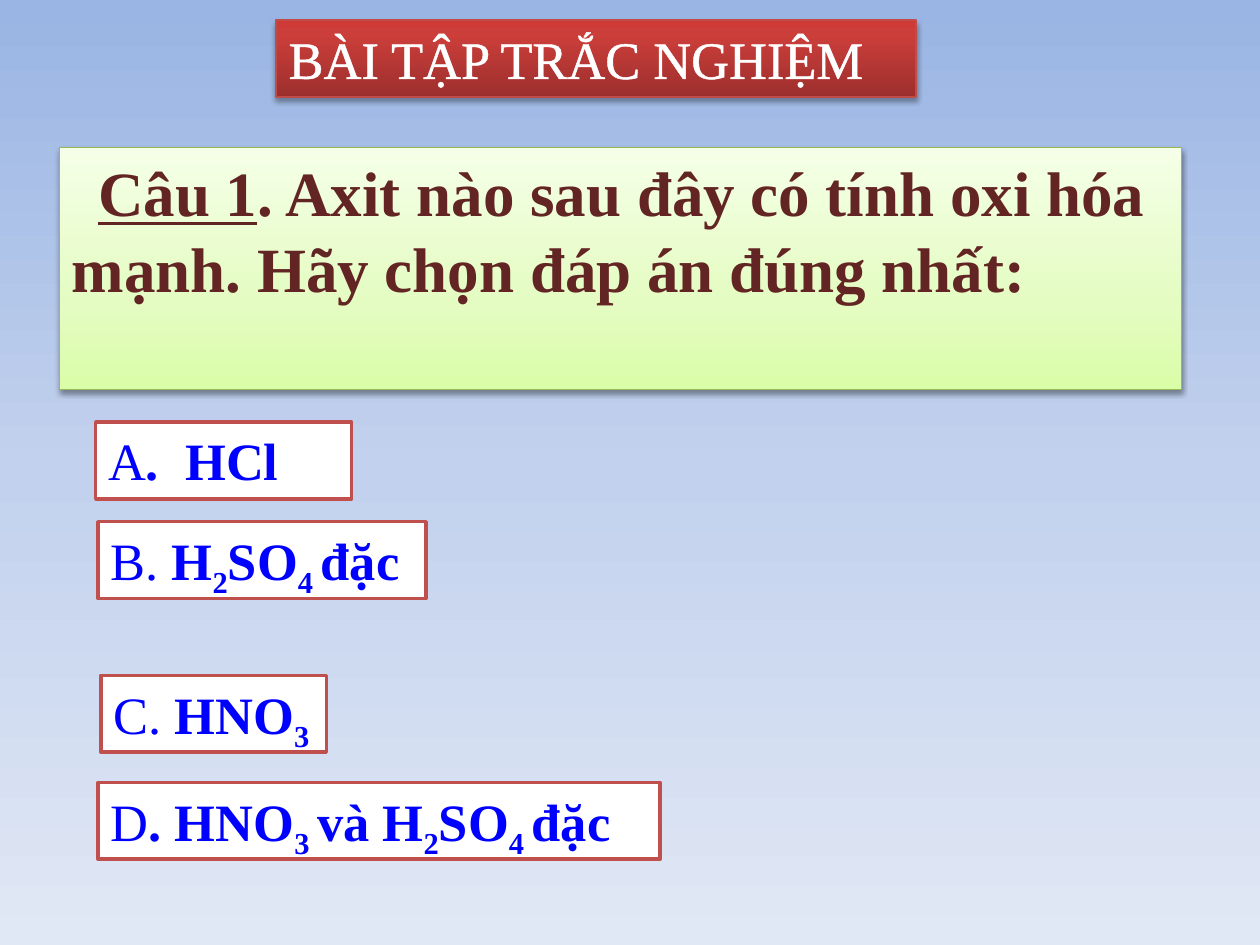
import pptx
import pptx.dml.color
import pptx.enum.shapes
import pptx.enum.text
import pptx.oxml
import pptx.oxml.ns
import pptx.util

Inches = pptx.util.Inches
Pt = pptx.util.Pt
RGBColor = pptx.dml.color.RGBColor

FONT = "Times New Roman"
WHITE = RGBColor(0xFF, 0xFF, 0xFF)
BLUE = RGBColor(0x00, 0x00, 0xFF)
BROWN = RGBColor(0x63, 0x25, 0x23)
BRICK = RGBColor(0xC0, 0x50, 0x4D)
RED_EDGE = RGBColor(0xBF, 0x4C, 0x48)
GREEN_EDGE = RGBColor(0x98, 0xB9, 0x55)
SKY = [(0, RGBColor(0x9A, 0xB5, 0xE4)), (50, RGBColor(0xC2, 0xD1, 0xED)),
       (100, RGBColor(0xE1, 0xE8, 0xF5))]
RED = [(0, RGBColor(0x9C, 0x2F, 0x2D)), (80, RGBColor(0xCB, 0x3E, 0x3A)),
       (100, RGBColor(0xCE, 0x3B, 0x37))]
GREEN = [(0, RGBColor(0xDA, 0xFD, 0xA7)), (35, RGBColor(0xE4, 0xFC, 0xC2)),
         (100, RGBColor(0xF5, 0xFF, 0xE7))]

# left, top, width, label, formula (subscripts between underscores)
CHOICES = [
    (0.76, 3.35, 2.03, "A", ".  HCl"),
    (0.78, 4.14, 2.6, "B. ", "H_2_SO_4 _đặc"),
    (0.8, 5.36, 1.79, "C. ", "HNO_3_"),
    (0.78, 6.21, 4.46, "D", ". HNO_3 _và H_2_SO_4 _đặc"),
]


def make(tag, **attrs):
    node = pptx.oxml.parse_xml(f"<a:{tag} {pptx.oxml.ns.nsdecls('a')}/>")
    for name, value in attrs.items():
        node.set(name, str(value))
    return node


def tint(tag, color):
    node = make(tag)
    node.append(make("srgbClr", val=color))
    return node


def shade(fill, root, stops, angle):
    """Fill with a gradient; root is the element that holds the fill."""
    fill.gradient()
    fill.gradient_angle = angle
    held = next(root.iter(pptx.oxml.ns.qn("a:gsLst")))
    for old in list(held):
        held.remove(old)
    for spot, color in stops:
        stop = tint("gs", color)
        stop.set("pos", str(spot * 1000))
        held.append(stop)


def cast(shape, alpha, drop):
    """Give the shape a soft shadow straight below it."""
    glow = make("outerShdw", blurRad=Pt(3.1), dist=Pt(drop), dir=5400000,
                rotWithShape=0)
    color = make("srgbClr", val="000000")
    color.append(make("alpha", val=alpha * 1000))
    glow.append(color)
    held = next(shape.element.spPr.iter(pptx.oxml.ns.qn("a:effectLst")))
    held.append(glow)


def place(shape, left, top, width, height, edge, weight):
    shape.left, shape.top = Inches(left), Inches(top)
    shape.width, shape.height = Inches(width), Inches(height)
    shape.shadow.inherit = False
    shape.line.color.rgb = edge
    shape.line.width = Pt(weight)
    frame = shape.text_frame
    frame.word_wrap = True
    frame.auto_size = pptx.enum.text.MSO_AUTO_SIZE.NONE
    frame.vertical_anchor = pptx.enum.text.MSO_ANCHOR.TOP
    frame.paragraphs[0].alignment = pptx.enum.text.PP_ALIGN.LEFT


def box(slide, *where):
    kind = pptx.enum.shapes.MSO_SHAPE.RECTANGLE
    shape = slide.shapes.add_shape(kind, 0, 0, 0, 0)
    place(shape, *where)
    return shape


def write(shape, text, color, size=30, bold=False, under=False, sub=False):
    run = shape.text_frame.paragraphs[0].add_run()
    run.text = text
    font = run.font
    font.name, font.size, font.bold = FONT, Pt(size), bold
    font.underline = under
    font.color.rgb = color
    if sub:
        font._element.set("baseline", "-25000")
    return run


def head(slide):
    shape = slide.shapes.title
    place(shape, 2.19, 0.16, 5.08, 0.61, RED_EDGE, 0.75)
    shade(shape.fill, shape.element.spPr, RED, 90)
    cast(shape, 35, 1.8)
    run = write(shape, "BÀI TẬP TRẮC NGHIỆM", WHITE)
    rim = make("ln", w=Pt(1.45))
    rim.append(tint("solidFill", WHITE))
    run.font._element.insert(0, rim)


def ask(slide):
    shape = box(slide, 0.47, 1.17, 8.91, 1.92, GREEN_EDGE, 0.75)
    shade(shape.fill, shape.element.spPr, GREEN, 90)
    cast(shape, 38, 1.6)
    props = shape.text_frame.paragraphs[0]._p.get_or_add_pPr()
    props.set("indent", str(Inches(0.21)))
    write(shape, "Câu 1", BROWN, size=36, bold=True, under=True)
    write(shape, ". Axit nào sau đây có tính oxi hóa mạnh. "
          "Hãy chọn đáp án đúng nhất:", BROWN, size=36, bold=True)


def choice(slide, left, top, width, label, body):
    shape = box(slide, left, top, width, 0.61, BRICK, 2)
    shape.fill.solid()
    shape.fill.fore_color.rgb = WHITE
    write(shape, label, BLUE)
    for i, part in enumerate(body.split("_")):
        if part:
            write(shape, part, BLUE, bold=True, sub=i % 2 == 1)


def main():
    deck = pptx.Presentation()
    deck.slide_width, deck.slide_height = Inches(10), Inches(7.5)
    slide = deck.slides.add_slide(deck.slide_layouts[5])
    shade(slide.background.fill, slide.element, SKY, 270)
    head(slide)
    ask(slide)
    for item in CHOICES:
        choice(slide, *item)
    deck.save("out.pptx")


if __name__ == "__main__":
    main()
